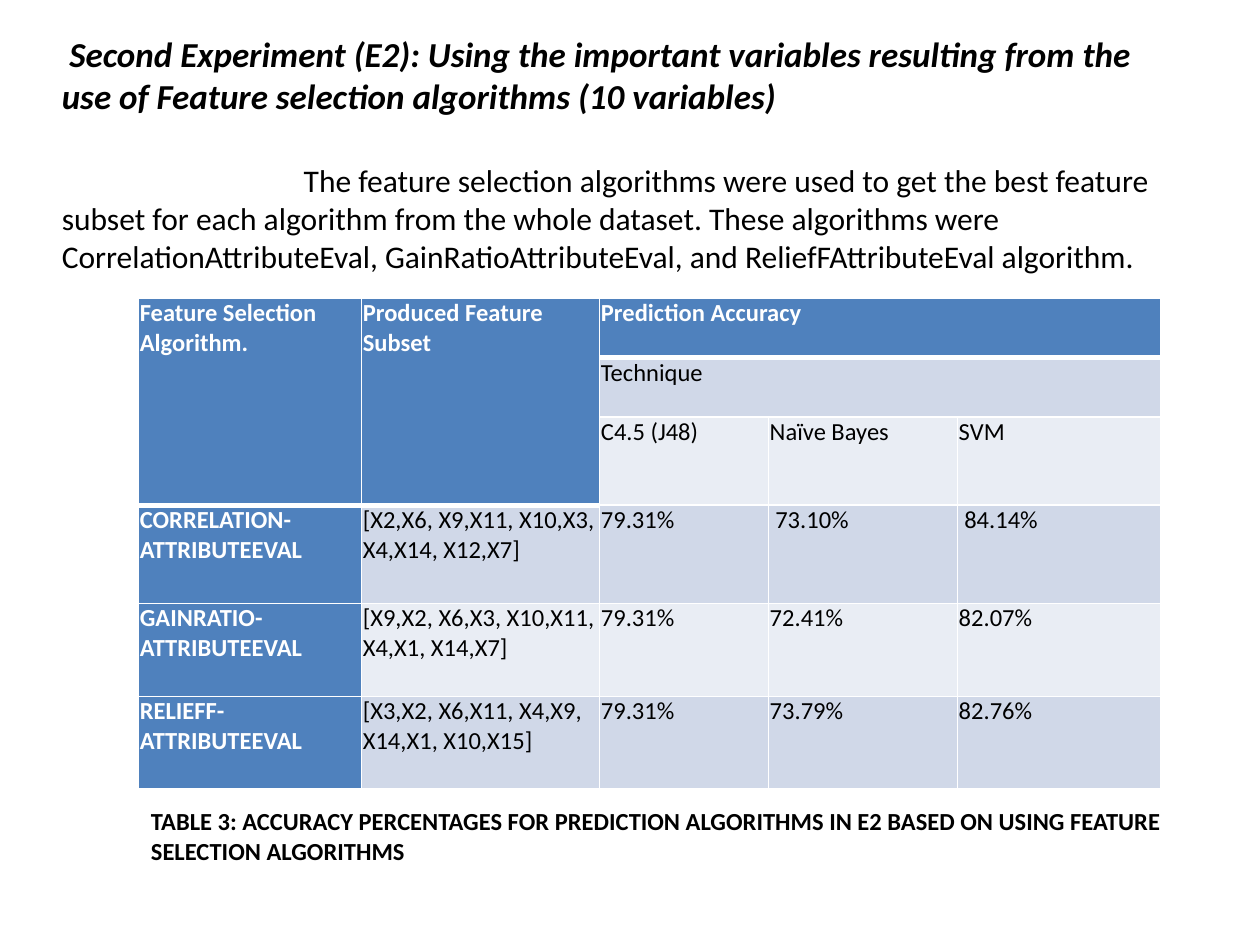
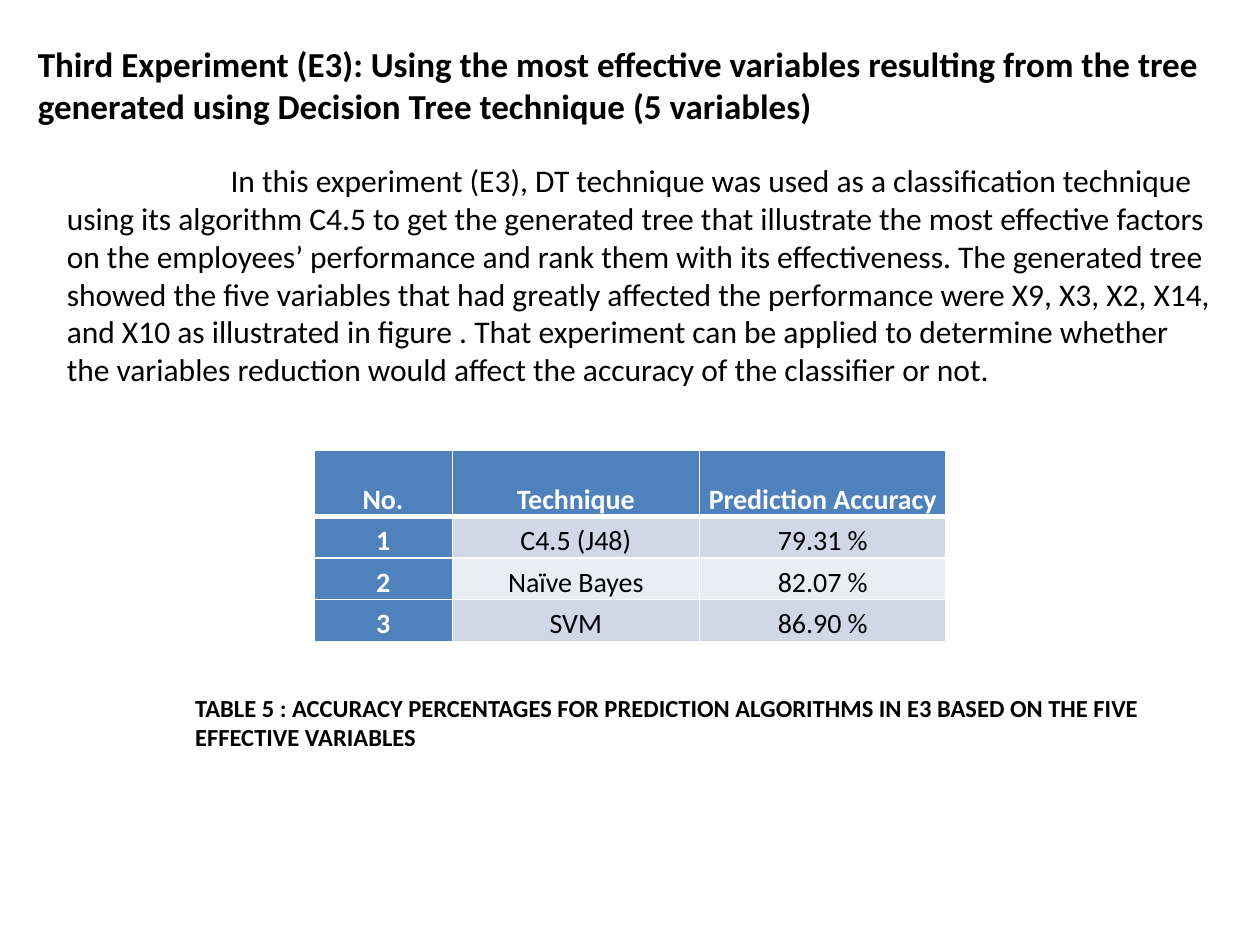
import pptx
import pptx.dml.color
import pptx.enum.text
import pptx.oxml
import pptx.oxml.ns
import pptx.util
from pptx.util import Inches

ALIGN = pptx.enum.text.PP_ALIGN
ANCHOR = pptx.enum.text.MSO_ANCHOR


def rgb(value):
    return pptx.dml.color.RGBColor.from_string(value)


def write(tf, text, size, font="Calibri", color="000000", bold=False,
          italic=False, align=ALIGN.LEFT, indent=0):
    for i, line in enumerate(text.split("\n")):
        p = tf.paragraphs[0] if i == 0 else tf.add_paragraph()
        p.alignment = align
        p.space_before = pptx.util.Pt(0)
        pPr = p._p.get_or_add_pPr()
        pPr.set("marL", "0")
        pPr.set("indent", str(Inches(indent)))
        pPr.append(pptx.oxml.parse_xml(
            f"<a:buNone {pptx.oxml.ns.nsdecls('a')}/>"))
        r = p.add_run()
        r.text = line
        r.font.name = font
        r.font.size = pptx.util.Pt(size)
        r.font.bold = bold
        r.font.italic = italic
        r.font.color.rgb = rgb(color)


class Deck:
    HEADER = "4F81BD"
    BANDS = ("E9EDF4", "D0D8E8")
    LINE = "FFFFFF"

    def __init__(self):
        self.prs = pptx.Presentation()
        self.prs.slide_width = Inches(10)
        self.prs.slide_height = Inches(7.5)
        self.s = None

    def new_slide(self):
        self.s = self.prs.slides.add_slide(self.prs.slide_layouts[1])

    def fill_frame(self, sp, text, box, **fmt):
        sp.left, sp.top, sp.width, sp.height = map(Inches, box)
        tf = sp.text_frame
        tf.word_wrap = True
        tf.auto_size = pptx.enum.text.MSO_AUTO_SIZE.NONE
        tf.vertical_anchor = ANCHOR.TOP
        write(tf, text, **fmt)

    def title(self, text, box, **fmt):
        self.fill_frame(self.s.shapes.title, text, box, size=20, bold=True, **fmt)

    def body(self, text, box, indent):
        self.fill_frame(self.s.placeholders[1], text, box, size=18, indent=indent)

    def caption(self, text, box):
        sp = self.s.shapes.add_textbox(*map(Inches, box))
        self.fill_frame(sp, text, box, size=14, bold=True)

    def borders(self, cell, bottom, with_top):
        tcPr = cell._tc.get_or_add_tcPr()
        widths = {"L": 1, "R": 1, "T": 1, "B": bottom}
        if not with_top:
            del widths["T"]
        for side, width in widths.items():
            tcPr.append(pptx.oxml.parse_xml(
                f'<a:ln{side} {pptx.oxml.ns.nsdecls("a")} w="{pptx.util.Pt(width)}">'
                f'<a:solidFill><a:srgbClr val="{self.LINE}"/></a:solidFill>'
                f'</a:ln{side}>'))

    def table(self, rows, left, top, widths, heights, header_depths, size,
              margin, merges=(), anchor=ANCHOR.TOP, align=ALIGN.LEFT):
        table = self.s.shapes.add_table(
            len(heights), len(widths), Inches(left), Inches(top),
            Inches(sum(widths)), Inches(sum(heights))).table
        for column, width in zip(table.columns, widths):
            column.width = Inches(width)
        for row, height in zip(table.rows, heights):
            row.height = Inches(height)
        for first, last in merges:
            table.cell(*first).merge(table.cell(*last))
        for r, row in enumerate(rows):
            for c, text in enumerate(row):
                cell = table.cell(r, c)
                in_header = r < header_depths[c]
                strong = in_header or c == 0
                cell.margin_left = cell.margin_right = Inches(margin)
                cell.margin_top = cell.margin_bottom = 0
                cell.vertical_anchor = anchor
                self.borders(cell, 3 if in_header else 1, r == 0)
                cell.fill.solid()
                cell.fill.fore_color.rgb = rgb(
                    self.HEADER if strong else self.BANDS[r % 2])
                if text:
                    write(cell.text_frame, text, size, bold=strong, align=align,
                          color="FFFFFF" if strong else "000000")


def second_experiment(deck):
    deck.new_slide()
    deck.title("Second Experiment (E2): Using the important variables resulting "
               "from the use of Feature selection algorithms (10 variables)",
               (0.39, 0.21, 9.13, 0.77), italic=True, indent=0.06)
    deck.body("The feature selection algorithms were used to get the best feature "
              "subset for each algorithm from the whole dataset. These algorithms "
              "were CorrelationAttributeEval, GainRatioAttributeEval, and "
              "ReliefFAttributeEval algorithm.",
              (0.39, 1.23, 9.13, 1.01), indent=1.92)
    deck.caption("TABLE 3: ACCURACY PERCENTAGES FOR PREDICTION ALGORITHMS IN E2 "
                 "BASED ON USING FEATURE SELECTION ALGORITHMS",
                 (1.1, 6.35, 8.43, 0.57))
    rows = [
        ("Feature Selection Algorithm.", "Produced Feature Subset",
         "Prediction Accuracy", "", ""),
        ("", "", "Technique", "", ""),
        ("", "", "C4.5 (J48)", "Naïve Bayes", "SVM"),
        ("CORRELATION-ATTRIBUTEEVAL", "[X2,X6, X9,X11, X10,X3,\nX4,X14, X12,X7]",
         "79.31%", " 73.10%", " 84.14%"),
        ("GAINRATIO-ATTRIBUTEEVAL", "[X9,X2, X6,X3, X10,X11, X4,X1, X14,X7]",
         "79.31%", "72.41%", "82.07%"),
        ("RELIEFF-ATTRIBUTEEVAL", "[X3,X2, X6,X11, X4,X9, X14,X1, X10,X15]",
         "79.31%", "73.79%", "82.76%"),
    ]
    deck.table(rows, 1.1, 2.37, (1.77, 1.89, 1.34, 1.5, 1.61),
               (0.47, 0.47, 0.7, 0.78, 0.74, 0.73),
               header_depths=(3, 3, 1, 1, 1), size=14, margin=0.01,
               merges=(((0, 0), (2, 0)), ((0, 1), (2, 1)),
                       ((0, 2), (0, 4)), ((1, 2), (1, 4))))


def third_experiment(deck):
    deck.new_slide()
    deck.title("Third Experiment (E3): Using the most effective variables resulting "
               "from the tree generated using Decision Tree technique (5 variables)",
               (0.2, 0.29, 9.53, 0.77))
    deck.body("In this experiment (E3), DT technique was used as a classification "
              "technique using its algorithm C4.5 to get the generated tree that "
              "illustrate the most effective factors on the employees’ performance "
              "and rank them with its effectiveness. The generated tree showed the "
              "five variables that had greatly affected the performance were X9, X3, "
              "X2, X14, and X10 as illustrated in figure . That experiment can be "
              "applied to determine whether the variables reduction would affect the "
              "accuracy of the classifier or not.",
              (0.43, 1.23, 9.29, 1.92), indent=1.3)
    rows = [
        ("No.", "Technique", "Prediction Accuracy"),
        ("1", "C4.5 (J48)", "79.31 %"),
        ("2", "Naïve Bayes", "82.07 %"),
        ("3", "SVM", "86.90 %"),
    ]
    deck.table(rows, 2.49, 3.57, (1.1, 1.96, 1.96), (0.53, 0.33, 0.33, 0.33),
               header_depths=(1, 1, 1), size=16, margin=0.07,
               anchor=ANCHOR.BOTTOM, align=ALIGN.CENTER)
    deck.caption("TABLE 5 : ACCURACY PERCENTAGES FOR PREDICTION ALGORITHMS IN E3 "
                 "BASED ON THE FIVE EFFECTIVE VARIABLES",
                 (1.45, 5.45, 8.19, 0.88))


def main():
    deck = Deck()
    second_experiment(deck)
    third_experiment(deck)
    deck.prs.save("out.pptx")


if __name__ == "__main__":
    main()
